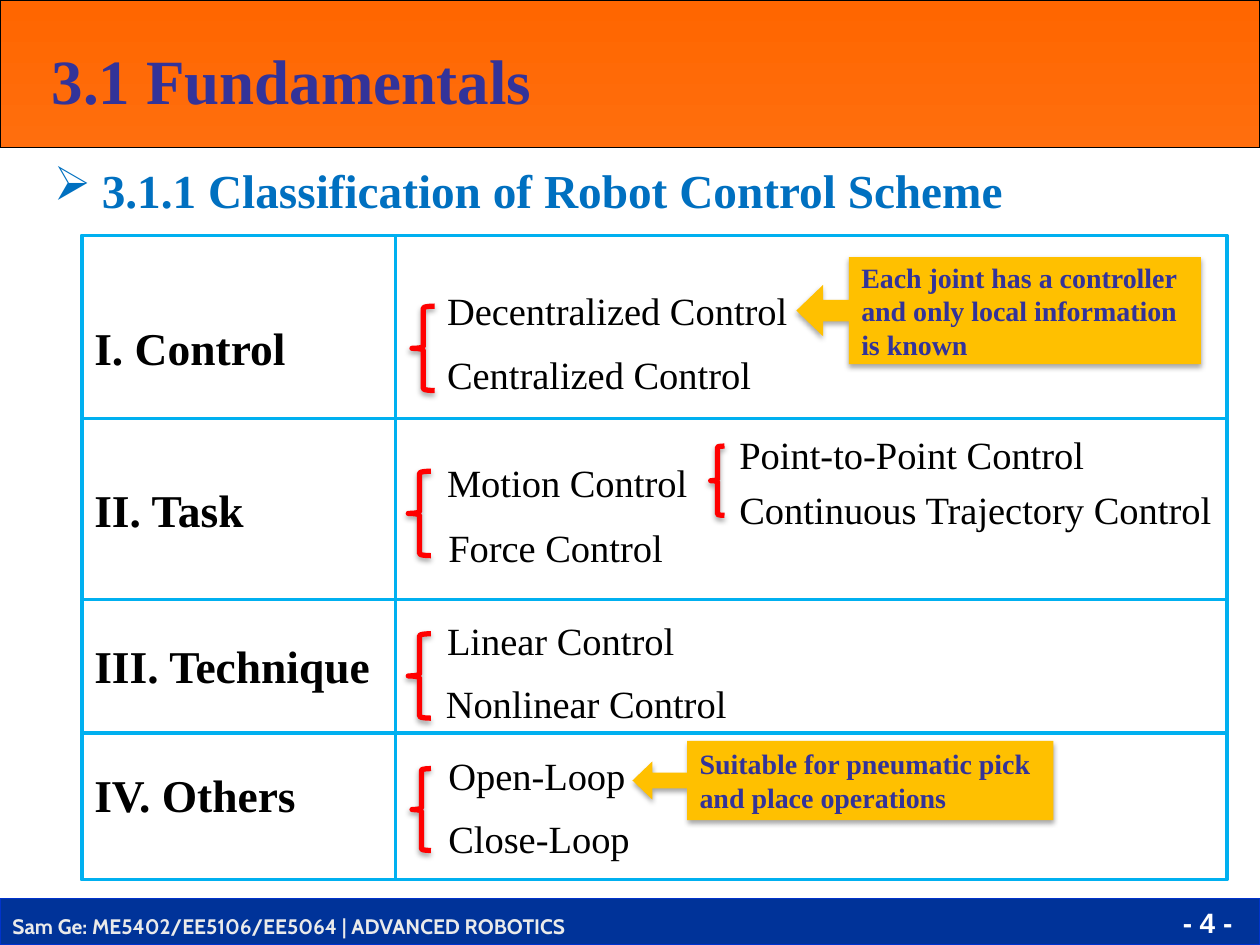
"""Build the slide on the classification of robot control schemes."""
from dataclasses import dataclass

from lxml import etree
from pptx import Presentation
from pptx.dml.color import RGBColor
from pptx.enum.shapes import MSO_SHAPE
from pptx.enum.text import MSO_ANCHOR, MSO_AUTO_SIZE, PP_ALIGN
from pptx.oxml import parse_xml
from pptx.oxml.ns import nsdecls, qn
from pptx.util import Inches, Pt

RECT = MSO_SHAPE.RECTANGLE
BRACE = MSO_SHAPE.LEFT_BRACE
CALLOUT = MSO_SHAPE.LEFT_ARROW_CALLOUT
TOP, MIDDLE = MSO_ANCHOR.TOP, MSO_ANCHOR.MIDDLE
LEFT, RIGHT = PP_ALIGN.LEFT, PP_ALIGN.RIGHT


@dataclass(frozen=True)
class Theme:
    serif: str = "Times New Roman"
    sans: str = "Arial"
    foot: str = "Cabin"
    navy: str = "333399"
    blue: str = "0070C0"
    black: str = "000000"
    white: str = "FFFFFF"
    pale: str = "EAEAEA"
    grid: str = "00B0F0"
    red: str = "FF0000"
    gold: str = "FFC000"
    band: tuple = ("FF6600", "FF6E0D")
    base: str = "003399"
    edge: str = "0033CC"
    title: int = 36
    head: int = 27
    label: int = 26
    item: int = 22
    note: int = 16
    small: int = 12


T = Theme()
SHADOW = (
    f'<a:outerShdw {nsdecls("a")} blurRad="39400" dist="22900" dir="5400000" rotWithShape="0">'
    '<a:srgbClr val="000000"><a:alpha val="35000"/></a:srgbClr></a:outerShdw>'
)


def write(shape, text, size, color, bold=True, face=T.serif, align=LEFT, wrap=False, anchor=TOP):
    frame = shape.text_frame
    frame.word_wrap = wrap
    frame.auto_size = MSO_AUTO_SIZE.NONE
    frame.vertical_anchor = anchor
    para = frame.paragraphs[0]
    para.text = text
    para.alignment = align
    font = para.font
    font.name, font.size, font.bold = face, Pt(size), bold
    font.color.rgb = RGBColor.from_string(color)
    return para


def draw(kind, box, fill=None, line=None, width=0.75, shade=False):
    shape = shapes.add_shape(kind, *map(Inches, box))
    shape.shadow.inherit = False
    if shade:
        shape.element.spPr.find(qn("a:effectLst")).append(parse_xml(SHADOW))
    if fill:
        shape.fill.solid()
        shape.fill.fore_color.rgb = RGBColor.from_string(fill)
    else:
        shape.fill.background()
    if line:
        shape.line.color.rgb = RGBColor.from_string(line)
        shape.line.width = Pt(width)
    else:
        shape.line.fill.background()
    return shape


deck = Presentation()
deck.slide_width, deck.slide_height = Inches(10), Inches(7.5)
slide = deck.slides.add_slide(deck.slide_layouts[5])
shapes = slide.shapes

draw(RECT, (0, 7.13, 10, 0.37), T.base, T.edge)
band = draw(RECT, (0, 0, 10, 1.17), T.band[0], T.black)
band.fill.gradient()
band.fill.gradient_angle = 270
for stop, color in zip(band.fill.gradient_stops, T.band):
    stop.color.rgb = RGBColor.from_string(color)

title = shapes.title
title.left, title.top, title.width, title.height = map(Inches, (0.31, 0.28, 7.3, 0.71))
write(title, "3.1 Fundamentals", T.title, T.navy, wrap=True)
shapes.element.append(title.element)

foot = shapes.add_textbox(*map(Inches, (0, 7.2, 5.16, 0.3)))
write(foot, "Sam Ge: ME5402/EE5106/EE5064 | ADVANCED ROBOTICS", T.small, T.pale, face=T.foot)
page = shapes.add_textbox(*map(Inches, (9.18, 7.14, 0.7, 0.36)))
write(page, "- 4 -", T.note, T.white, face=T.sans, align=RIGHT, wrap=True)

head = shapes.add_textbox(*map(Inches, (0.33, 1.23, 7.8, 0.56)))
para = head.text_frame.paragraphs[0]
props = para._p.get_or_add_pPr()
props.set("marL", str(Inches(0.38)))
props.set("indent", str(-Inches(0.38)))
etree.SubElement(props, qn("a:buChar")).set("char", "➢")
write(head, "3.1.1 Classification of Robot Control Scheme", T.head, T.blue)

rows = [
    ("I. Control", 1.45, 2.76),
    ("II. Task", 1.44, 4.04),
    ("III. Technique", 1.06, 5.28),
    ("IV. Others", 1.16, 6.3),
]
top = 1.87
for text, high, mid in rows:
    for wide in (9.09, 2.49):
        draw(RECT, (0.65, top, wide, high), line=T.grid, width=2)
    label = shapes.add_textbox(*map(Inches, (0.65, mid - 0.26, 2.49, 0.52)))
    write(label, text, T.label, T.black, anchor=MIDDLE)
    top += high

items = [
    ("Decentralized Control", 3.45, 2.23, 3.45),
    ("Centralized Control", 3.45, 2.74, 3.14),
    ("Motion Control", 3.45, 3.59, 2.41),
    ("Force Control", 3.46, 4.11, 2.26),
    ("Point-to-Point Control", 5.77, 3.37, 3.37),
    ("Continuous Trajectory Control", 5.77, 3.81, 3.96),
    ("Linear Control", 3.45, 4.85, 2.3),
    ("Nonlinear Control", 3.44, 5.35, 2.8),
    ("Open-Loop", 3.46, 5.92, 1.79),
    ("Close-Loop", 3.46, 6.42, 1.84),
]
for text, x, y, wide in items:
    item = shapes.add_textbox(*map(Inches, (x, y, wide, 0.47)))
    write(item, text, T.item, T.black, bold=False)

braces = [
    (3.27, 2.43, 0.18, 0.67),
    (3.24, 3.74, 0.18, 0.67),
    (5.64, 3.54, 0.11, 0.55),
    (3.24, 5.03, 0.18, 0.67),
    (3.27, 6.1, 0.15, 0.65),
]
for box in braces:
    draw(BRACE, box, line=T.red, width=3, shade=True)

notes = [
    ("Each joint has a controller and only local information is known", (6.32, 2.04, 3.21, 0.85)),
    ("Suitable for pneumatic pick and place operations", (5.02, 5.88, 3.34, 0.63)),
]
for text, box in notes:
    note = draw(CALLOUT, box, T.gold, shade=True)
    for i, part in enumerate((0.2, 0.24, 0.25, 0.87)):
        note.adjustments[i] = part
    write(note, text, T.note, T.navy, wrap=True, anchor=MIDDLE)

deck.save("out.pptx")
